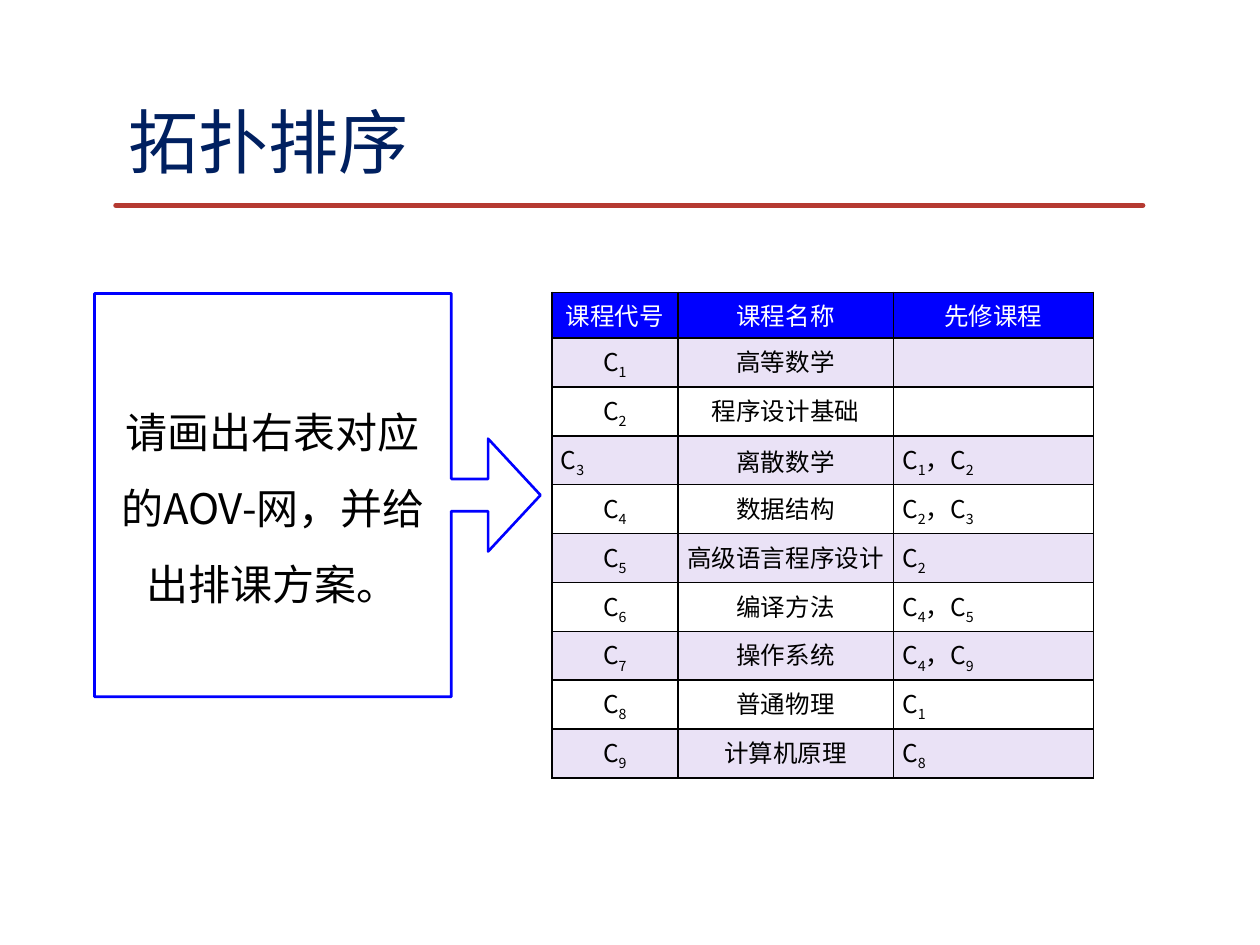
"""Build the topological sorting exercise slide."""
import dataclasses
import itertools
import typing

import lxml.etree
import pptx
import pptx.dml.color
import pptx.enum.shapes
import pptx.enum.text
import pptx.oxml
import pptx.oxml.ns
import pptx.util

Shape = pptx.enum.shapes.MSO_SHAPE
Align = pptx.enum.text.PP_ALIGN
Anchor = pptx.enum.text.MSO_ANCHOR
qn = pptx.oxml.ns.qn


@dataclasses.dataclass(frozen=True)
class Theme:
    """Colours, fonts and sizes in points."""
    navy: str = "002060"
    red: str = "B53A31"
    blue: str = "0000FF"
    lilac: str = "EAE2F6"
    white: str = "FFFFFF"
    black: str = "000000"
    latin: str = "Arial"
    han: str = "Noto Sans CJK SC"
    title: int = 40
    body: int = 24
    cell: int = 14
    sub: str = "-25000"


class Box(typing.NamedTuple):
    """A place in grid columns and rows."""
    left: float
    top: float
    width: float
    height: float


@dataclasses.dataclass(frozen=True)
class Course:
    """One table row; set apart rows have their own alignment."""
    code: str
    name: str
    needs: str = ""
    apart: bool = False


THEME = Theme()
COLS, ROWS = 100, 75
WIDE, HIGH = pptx.util.Inches(10), pptx.util.Inches(7.5)
HEAD = ("课程代号", "课程名称", "先修课程")
COURSES = (
    Course("C1", "高等数学"),
    Course("C2", "程序设计基础"),
    Course("C3", "离散数学", "C1，C2", apart=True),
    Course("C4", "数据结构", "C2，C3"),
    Course("C5", "高级语言程序设计", "C2"),
    Course("C6", "编译方法", "C4，C5"),
    Course("C7", "操作系统", "C4，C9"),
    Course("C8", "普通物理", "C1"),
    Course("C9", "计算机原理", "C8"),
)


def col(count: float) -> int:
    """Return the length of some grid columns."""
    return round(WIDE * count / COLS)


def row(count: float) -> int:
    """Return the length of some grid rows."""
    return round(HIGH * count / ROWS)


def place(box: Box) -> tuple:
    """Return a box in slide units."""
    return col(box.left), row(box.top), col(box.width), row(box.height)


def tint(color: str) -> pptx.dml.color.RGBColor:
    """Turn a hex string into a colour."""
    return pptx.dml.color.RGBColor.from_string(color)


def write(frame, text: str, *, size: int, color: str = THEME.black, font: str = THEME.han,
          align=Align.CENTER, space: float = 1.0, subs: bool = False) -> None:
    """Write one paragraph, with digits as subscripts if asked."""
    frame.word_wrap = True
    para = frame.paragraphs[0]
    para.alignment, para.line_spacing = align, space
    parts = itertools.groupby(text, str.isdigit) if subs and text else [(False, text)]
    for digit, chars in parts:
        run = para.add_run()
        run.text = "".join(chars)
        run.font.size, run.font.name = pptx.util.Pt(size), font
        run.font.color.rgb = tint(color)
        props = run.font._element
        east = pptx.oxml.parse_xml(f'<a:ea {pptx.oxml.ns.nsdecls("a")} typeface="{THEME.han}"/>')
        props.find(qn("a:latin")).addnext(east)
        if digit:
            props.set("baseline", THEME.sub)


def edge(cell) -> None:
    """Give a cell thin black borders on all sides."""
    props = cell._tc.get_or_add_tcPr()
    for spot, side in enumerate(("lnL", "lnR", "lnT", "lnB")):
        line = lxml.etree.Element(qn(f"a:{side}"), w=str(pptx.util.Pt(1)))
        fill = lxml.etree.SubElement(line, qn("a:solidFill"))
        lxml.etree.SubElement(fill, qn("a:srgbClr"), val=THEME.black)
        props.insert(spot, line)


def put(cell, text: str, fill: str, anchor, **form) -> None:
    """Fill, border and write one cell."""
    cell.fill.solid()
    cell.fill.fore_color.rgb = tint(fill)
    cell.margin_left = cell.margin_right = col(0.7)
    cell.margin_top = cell.margin_bottom = row(0.4)
    cell.vertical_anchor = anchor
    edge(cell)
    write(cell.text_frame, text, size=THEME.cell, **form)


def head(slide, box: Box, text: str) -> None:
    """Place the title and the rule below it."""
    title = slide.shapes.title
    title.left, title.top, title.width, title.height = place(box)
    title.text_frame.vertical_anchor = Anchor.MIDDLE
    write(title.text_frame, text, size=THEME.title, color=THEME.navy,
          font=THEME.latin, align=Align.LEFT)
    level = row(16.3)
    rule = slide.shapes.add_connector(pptx.enum.shapes.MSO_CONNECTOR.STRAIGHT,
                                      col(box.left), level, col(box.left + box.width), level)
    rule.line.color.rgb = tint(THEME.red)
    rule.line.width = pptx.util.Pt(3)
    rule.line._get_or_add_ln().set("cap", "rnd")
    lxml.etree.SubElement(rule._element.spPr, qn("a:effectLst"))


def task(slide, box: Box, text: str) -> None:
    """Draw the callout that points at the table."""
    shape = slide.shapes.add_shape(Shape.RIGHT_ARROW_CALLOUT, *place(box))
    shape.shadow.inherit = False
    for spot, share in enumerate((0.08, 0.14, 0.13, 0.8)):
        shape.adjustments[spot] = share
    shape.fill.solid()
    shape.fill.fore_color.rgb = tint(THEME.white)
    shape.line.color.rgb = tint(THEME.blue)
    shape.line.width = pptx.util.Pt(1.5)
    shape.text_frame.vertical_anchor = Anchor.MIDDLE
    write(shape.text_frame, text, size=THEME.body, space=1.5)


def chart(slide, box: Box, widths: tuple) -> None:
    """Draw the table of courses."""
    table = slide.shapes.add_table(len(COURSES) + 1, len(HEAD), *place(box)).table
    table.horz_banding = False
    for column, width in zip(table.columns, widths):
        column.width = col(width)
    for cell, text in zip(table.rows[0].cells, HEAD):
        put(cell, text, THEME.blue, Anchor.MIDDLE, color=THEME.white)
    fills = itertools.cycle((THEME.lilac, THEME.white))
    for course, line, fill in zip(COURSES, list(table.rows)[1:], fills):
        code, name, needs = line.cells
        side = Align.LEFT if course.apart else Align.CENTER
        anchor = Anchor.MIDDLE if course.apart else Anchor.TOP
        put(code, course.code, fill, Anchor.MIDDLE, align=side, subs=True)
        put(name, course.name, fill, anchor)
        put(needs, course.needs, fill, anchor, align=Align.LEFT, subs=True)


def main() -> None:
    """Build and save the slide."""
    deck = pptx.Presentation()
    deck.slide_width, deck.slide_height = WIDE, HIGH
    slide = deck.slides.add_slide(deck.slide_layouts.get_by_name("Title Only"))
    head(slide, Box(9.2, 7, 81.5, 8.3), "拓扑排序")
    chart(slide, Box(43.8, 23.2, 43.1, 32.2), (10, 17.1, 15.9))
    task(slide, Box(7.5, 23.3, 35.4, 32), "请画出右表对应的AOV-网，并给出排课方案。")
    deck.save("out.pptx")


if __name__ == "__main__":
    main()
